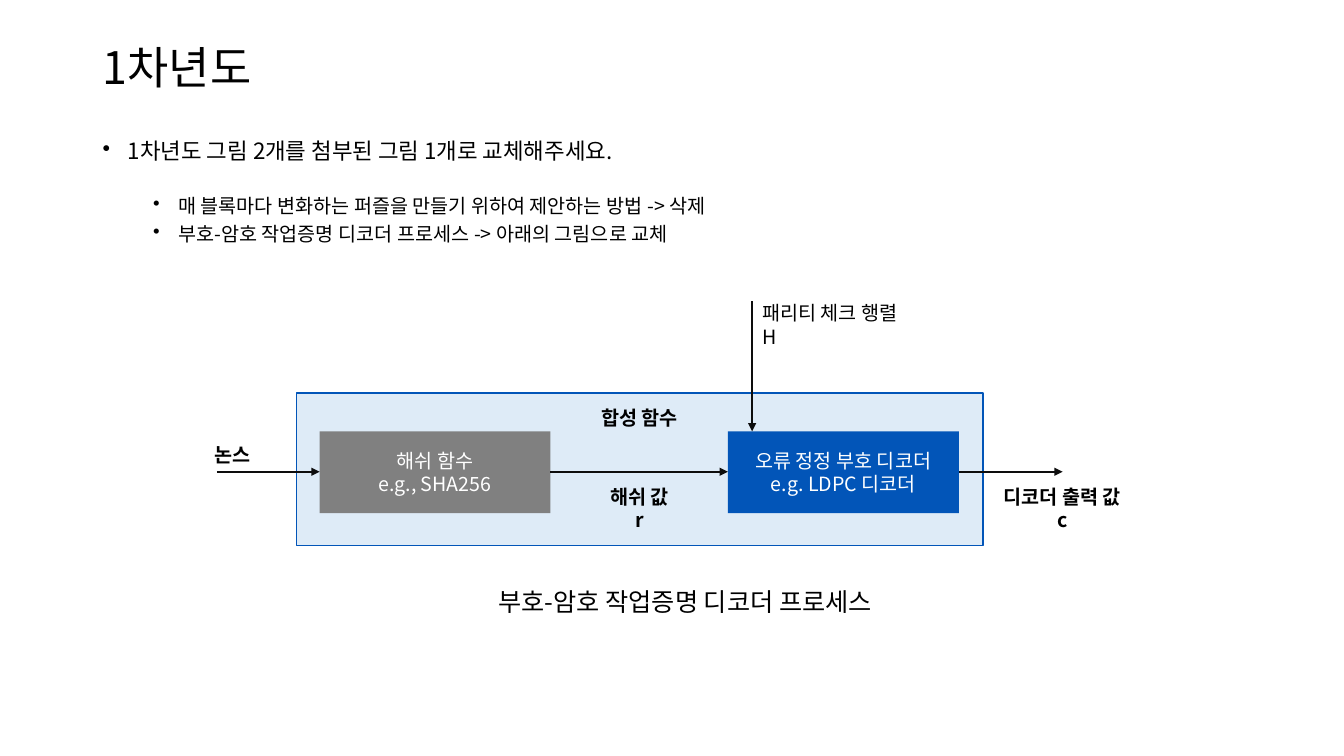
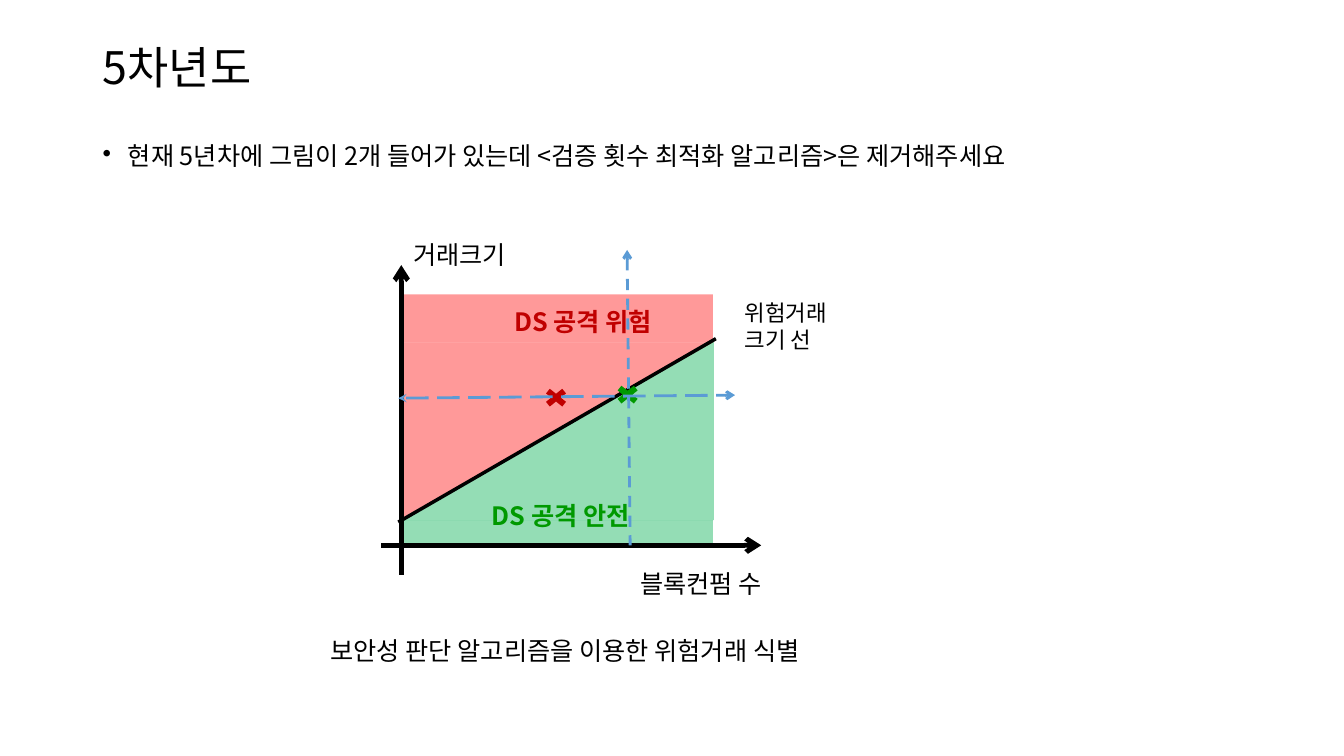
from dataclasses import dataclass
from typing import Optional

from lxml import etree
from pptx import Presentation
from pptx.dml.color import RGBColor
from pptx.enum.dml import MSO_LINE
from pptx.enum.shapes import MSO_CONNECTOR, MSO_SHAPE
from pptx.enum.text import MSO_ANCHOR, PP_ALIGN
from pptx.oxml.ns import qn
from pptx.util import Inches, Pt

FONT = "Noto Sans CJK KR"
BLACK = RGBColor(0x00, 0x00, 0x00)
WHITE = RGBColor(0xFF, 0xFF, 0xFF)
INK = RGBColor(0x0D, 0x0D, 0x0D)
BLUE = RGBColor(0x02, 0x55, 0xB8)
PALE_BLUE = RGBColor(0xDE, 0xEB, 0xF7)
GUIDE_BLUE = RGBColor(0x5B, 0x9B, 0xD5)
GRAY = RGBColor(0x80, 0x80, 0x80)
RED = RGBColor(0xFF, 0x00, 0x00)
GREEN = RGBColor(0x00, 0xB0, 0x50)
DARK_RED = RGBColor(0xC0, 0x00, 0x00)
DARK_GREEN = RGBColor(0x00, 0x99, 0x00)

LEFT, CENTER = PP_ALIGN.LEFT, PP_ALIGN.CENTER
TOP, MIDDLE = MSO_ANCHOR.TOP, MSO_ANCHOR.MIDDLE
RECTANGLE = MSO_SHAPE.RECTANGLE
RIGHT_TRIANGLE = MSO_SHAPE.RIGHT_TRIANGLE
CROSS = MSO_SHAPE.MATH_MULTIPLY
STRAIGHT = MSO_CONNECTOR.STRAIGHT
DASH, LONG_DASH = MSO_LINE.DASH, MSO_LINE.LONG_DASH

MARGIN, CONTENT_WIDTH = 0.92, 11.5
FLOW_Y = 4.68


@dataclass(frozen=True)
class Label:
    """Free text; each line of it is a paragraph."""
    text: str
    left: float
    top: float
    width: float
    height: float
    size: int = 14
    bold: bool = False
    color: RGBColor = BLACK
    align: PP_ALIGN = LEFT


@dataclass(frozen=True)
class Block:
    """A filled preset shape, with optional white centred text."""
    left: float
    top: float
    width: float
    height: float
    fill: RGBColor
    kind: MSO_SHAPE = RECTANGLE
    text: str = ""
    opacity: int = 100
    flip: str = ""
    border: Optional[RGBColor] = None


@dataclass(frozen=True)
class Line:
    """A straight line with optional ends and dash."""
    x1: float
    y1: float
    x2: float
    y2: float
    color: RGBColor = INK
    width: float = 1.5
    head: str = ""
    tail: str = ""
    dash: Optional[MSO_LINE] = None


@dataclass(frozen=True)
class Bullet:
    """One bulleted paragraph."""
    text: str
    size: int
    level: int = 0
    space_after: int = 0


def set_font(paragraph, size: int, color: RGBColor, bold: bool = False) -> None:
    """Format a paragraph, for Latin and East Asian letters alike."""
    font = paragraph.font
    font.size, font.bold, font.name = Pt(size), bold, FONT
    font.color.rgb = color
    defaults = paragraph._p.pPr.find(qn("a:defRPr"))
    etree.SubElement(defaults, qn("a:ea")).set("typeface", FONT)


def fill_text(frame, text: str, size: int, color: RGBColor, bold: bool = False,
              align: PP_ALIGN = LEFT, anchor: MSO_ANCHOR = TOP) -> None:
    """Write uniformly formatted lines into a text frame."""
    frame.word_wrap = True
    frame.vertical_anchor = anchor
    frame.text = text
    for paragraph in frame.paragraphs:
        paragraph.alignment = align
        set_font(paragraph, size, color, bold)


def add_label(slide, label: Label) -> None:
    """Draw a label."""
    box = slide.shapes.add_textbox(Inches(label.left), Inches(label.top),
                                   Inches(label.width), Inches(label.height))
    fill_text(box.text_frame, label.text, label.size, label.color, label.bold, label.align)


def add_block(slide, block: Block):
    """Draw a block and return its shape."""
    shape = slide.shapes.add_shape(block.kind, Inches(block.left), Inches(block.top),
                                   Inches(block.width), Inches(block.height))
    shape.shadow.inherit = False
    shape.fill.solid()
    shape.fill.fore_color.rgb = block.fill
    if block.opacity < 100:
        color = shape._element.spPr.find(qn("a:solidFill"))[0]
        etree.SubElement(color, qn("a:alpha")).set("val", str(block.opacity * 1000))
    if block.flip:
        shape._element.spPr.find(qn("a:xfrm")).set(block.flip, "1")
    if block.border is None:
        shape.line.fill.background()
    else:
        shape.line.color.rgb = block.border
        shape.line.width = Pt(1)
    if block.text:
        fill_text(shape.text_frame, block.text, 14, WHITE, align=CENTER, anchor=MIDDLE)
    return shape


def add_line(slide, line: Line) -> None:
    """Draw a line with its arrowheads."""
    connector = slide.shapes.add_connector(STRAIGHT, Inches(line.x1), Inches(line.y1),
                                           Inches(line.x2), Inches(line.y2))
    connector.line.color.rgb = line.color
    connector.line.width = Pt(line.width)
    if line.dash is not None:
        connector.line.dash_style = line.dash
    properties = connector._element.spPr
    stroke = properties.find(qn("a:ln"))
    for end, arrow in (("a:headEnd", line.head), ("a:tailEnd", line.tail)):
        if arrow:
            etree.SubElement(stroke, qn(end)).set("type", arrow)
    etree.SubElement(properties, qn("a:effectLst"))


def add_bullets(slide, top: float, height: float, bullets: list[Bullet]) -> None:
    """Draw the bulleted instructions under the title."""
    frame = slide.shapes.add_textbox(Inches(MARGIN), Inches(top), Inches(CONTENT_WIDTH),
                                     Inches(height)).text_frame
    frame.word_wrap = True
    frame.text = "\n".join(bullet.text for bullet in bullets)
    for paragraph, bullet in zip(frame.paragraphs, bullets):
        paragraph.level = bullet.level
        paragraph.line_spacing = 0.9
        paragraph.space_before = Pt(5 if bullet.level else 10)
        paragraph.space_after = Pt(bullet.space_after)
        set_font(paragraph, bullet.size, BLACK)
        properties = paragraph._p.pPr
        properties.set("marL", str(Inches(0.25 + 0.5 * bullet.level)))
        properties.set("indent", str(Inches(-0.25)))
        mark = etree.Element(qn("a:buChar"), char="•")
        properties.find(qn("a:defRPr")).addprevious(mark)


def add_titled_slide(deck, text: str):
    """Add a title-only slide with the shared title style."""
    slide = deck.slides.add_slide(deck.slide_layouts[5])
    title = slide.shapes.title
    title.left, title.top = Inches(MARGIN), Inches(0.27)
    title.width, title.height = Inches(CONTENT_WIDTH), Inches(0.85)
    fill_text(title.text_frame, text, 32, BLACK, anchor=MIDDLE)
    title.text_frame.paragraphs[0].line_spacing = 0.9
    return slide


def build_decoder_slide(deck) -> None:
    """Year 1: the proof-of-work decoder process."""
    slide = add_titled_slide(deck, "1차년도")
    add_bullets(slide, 1.34, 1.3, [
        Bullet("1차년도 그림 2개를 첨부된 그림 1개로 교체해주세요.", 16, space_after=18),
        Bullet("매 블록마다 변화하는 퍼즐을 만들기 위하여 제안하는 방법 -> 삭제", 14, 1),
        Bullet("부호-암호 작업증명 디코더 프로세스 -> 아래의 그림으로 교체", 14, 1),
    ])
    for block in (
        Block(2.94, 3.9, 6.81, 1.51, PALE_BLUE, border=BLUE),
        Block(7.22, 4.28, 2.29, 0.81, BLUE, text="오류 정정 부호 디코더\ne.g. LDPC 디코더"),
        Block(3.17, 4.28, 2.29, 0.81, GRAY, text="해쉬 함수\ne.g., SHA256"),
    ):
        add_block(slide, block)
    for start, end in ((5.46, 7.22), (2.15, 3.17), (9.51, 10.54)):
        add_line(slide, Line(start, FLOW_Y, end, FLOW_Y, tail="triangle"))
    add_line(slide, Line(7.46, 2.99, 7.46, 4.28, tail="triangle"))
    for label in (
        Label("논스", 2.03, 4.34, 0.7, 0.32, bold=True),
        Label("해쉬 값\nr", 5.89, 4.76, 0.91, 0.56, bold=True, align=CENTER),
        Label("디코더 출력 값\nc", 9.77, 4.76, 1.53, 0.56, bold=True, align=CENTER),
        Label("패리티 체크 행렬\nH", 7.46, 2.94, 1.76, 0.56),
        Label("합성 함수", 5.74, 3.98, 1.21, 0.32, bold=True, align=CENTER),
        Label("부호-암호 작업증명 디코더 프로세스", 1.42, 5.77, 10.75, 0.4, 18, align=CENTER),
    ):
        add_label(slide, label)


def build_risk_slide(deck) -> None:
    """Year 5: telling risky transactions from safe ones."""
    slide = add_titled_slide(deck, "5차년도")
    add_bullets(slide, 1.38, 0.95, [
        Bullet("현재 5년차에 그림이 2개 들어가 있는데 <검증 횟수 최적화 알고리즘>은 제거해주세요", 18),
    ])
    for region in (
        Block(4, 3.4, 3.07, 1.74, RED, RIGHT_TRIANGLE, opacity=40, flip="flipV"),
        Block(4, 2.92, 3.07, 0.48, RED, opacity=40),
        Block(3.98, 3.36, 3.1, 1.8, GREEN, RIGHT_TRIANGLE, opacity=42, flip="flipH"),
        Block(3.99, 5.16, 3.08, 0.26, GREEN, opacity=42),
    ):
        add_block(slide, region)
    for line in (
        Line(3.95, 5.18, 7.1, 3.36, BLACK, 2.5),
        Line(3.78, 5.41, 7.55, 5.41, BLACK, 3.5, tail="arrow"),
        Line(3.98, 5.7, 3.98, 2.63, BLACK, 3.5, tail="arrow"),
    ):
        add_line(slide, line)
    for label in (
        Label("블록컨펌 수", 6.25, 5.59, 1.71, 0.43, 18),
        Label("거래크기", 3.91, 2.33, 1.3, 0.43, 18, align=CENTER),
        Label("DS 공격 위험", 5, 2.99, 1.98, 0.43, 18, True, DARK_RED),
        Label("DS 공격 안전", 4.78, 4.91, 2.19, 0.43, 18, True, DARK_GREEN),
        Label("위험거래\n크기 선", 7.29, 2.92, 1.47, 0.64, 16),
        Label("보안성 판단 알고리즘을 이용한 위험거래 식별", 3.18, 6.25, 5.58, 0.4, 18),
    ):
        add_label(slide, label)
    for left, top, color in ((6.07, 3.79, DARK_GREEN), (5.36, 3.82, DARK_RED)):
        marker = add_block(slide, Block(left, top, 0.31, 0.25, color, CROSS))
        marker.adjustments[0] = 0.24
    for guide in (
        Line(3.95, 3.95, 7.29, 3.92, GUIDE_BLUE, 2, "stealth", "arrow", LONG_DASH),
        Line(6.22, 2.48, 6.25, 5.41, GUIDE_BLUE, 2, "arrow", dash=DASH),
    ):
        add_line(slide, guide)


def main() -> None:
    """Build and save the deck."""
    deck = Presentation()
    deck.slide_width, deck.slide_height = Inches(13.33), Inches(7.5)
    build_decoder_slide(deck)
    build_risk_slide(deck)
    deck.save("out.pptx")


main()
